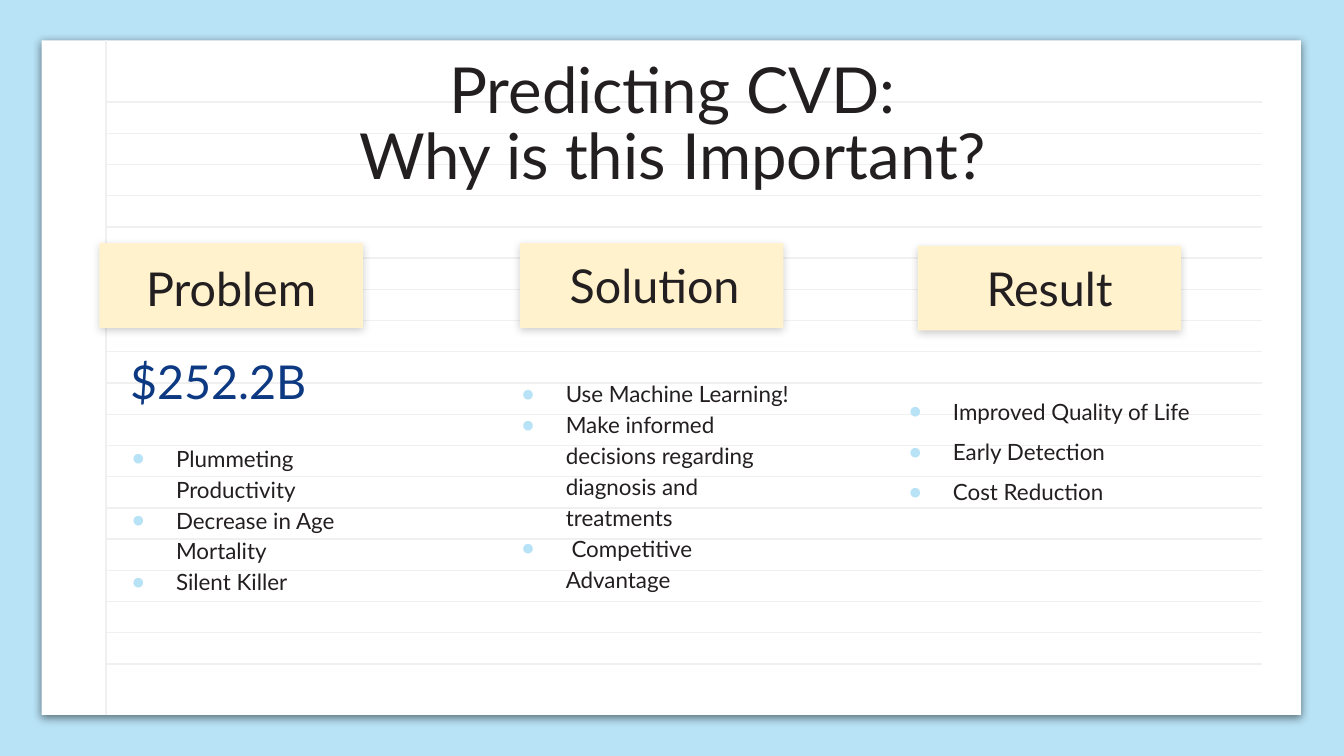
from dataclasses import dataclass

from lxml import etree
from pptx import Presentation
from pptx.dml.color import RGBColor
from pptx.enum.shapes import MSO_CONNECTOR, MSO_SHAPE
from pptx.enum.text import MSO_ANCHOR, MSO_AUTO_SIZE, PP_ALIGN
from pptx.oxml.ns import qn
from pptx.util import Inches, Pt

LEFT, CENTER = PP_ALIGN.LEFT, PP_ALIGN.CENTER
TOP, MIDDLE, BOTTOM = MSO_ANCHOR.TOP, MSO_ANCHOR.MIDDLE, MSO_ANCHOR.BOTTOM
NO_AUTOFIT = MSO_AUTO_SIZE.NONE
RECTANGLE = MSO_SHAPE.RECTANGLE
STRAIGHT = MSO_CONNECTOR.STRAIGHT


@dataclass(frozen=True)
class Theme:
    font: str = "Lato"
    sky: str = "B8E2F5"
    paper: str = "FFFFFF"
    rule: str = "F0F0F0"
    card: str = "FFF2CC"
    ink: str = "231F20"
    navy: str = "0C3982"
    black: str = "000000"
    title_size: int = 34
    heading_size: int = 25
    list_size: int = 12


theme = Theme()


def write_text(shape, lines, size, color=theme.ink, align=CENTER, anchor=MIDDLE,
               spacing=1.0, bullet=None):
    frame = shape.text_frame
    frame.word_wrap = True
    frame.auto_size = NO_AUTOFIT
    frame.vertical_anchor = anchor
    frame.margin_left = frame.margin_right = Inches(0.1)
    frame.margin_top = frame.margin_bottom = Inches(0.1)
    for index, line in enumerate(lines):
        paragraph = frame.add_paragraph() if index else frame.paragraphs[0]
        paragraph.alignment = align
        paragraph.line_spacing = spacing
        paragraph.space_before = paragraph.space_after = Pt(0)
        run = paragraph.add_run()
        run.text = line
        run.font.name = theme.font
        run.font.size = Pt(size)
        run.font.bold = False
        run.font.color.rgb = RGBColor.from_string(color)
        if bullet:
            properties = paragraph._p.get_or_add_pPr()
            properties.set("marL", str(Inches(0.5)))
            properties.set("indent", str(Inches(-0.33)))
            bullet_color = etree.SubElement(properties, qn("a:buClr"))
            etree.SubElement(bullet_color, qn("a:srgbClr"), val=theme.sky)
            etree.SubElement(properties, qn("a:buChar"), char=bullet)


def set_shadow(shape, color=None, opacity=0):
    effects = etree.SubElement(shape._element.spPr, qn("a:effectLst"))
    if color:
        shadow = etree.SubElement(effects, qn("a:outerShdw"), blurRad=str(Pt(4.5)),
                                  dist=str(Pt(1.5)), dir="5400000", algn="bl",
                                  rotWithShape="0")
        shade = etree.SubElement(shadow, qn("a:srgbClr"), val=color)
        etree.SubElement(shade, qn("a:alpha"), val=str(opacity * 1000))


presentation = Presentation()
presentation.slide_width = Inches(10)
presentation.slide_height = Inches(10 * 9 / 16)
slide = presentation.slides.add_slide(presentation.slide_layouts[4])
shapes = slide.shapes
slide.background.fill.solid()
slide.background.fill.fore_color.rgb = RGBColor.from_string(theme.sky)

panels = [(0.31, 0.3, 9.37, 5.02, theme.paper, theme.black, 50)]
panels += [(left, top, 1.96, 0.63, theme.card, theme.ink, 22)
           for left, top in ((0.74, 1.81), (3.87, 1.81), (6.83, 1.83))]
rectangles = []
for left, top, width, height, fill, shadow_color, opacity in panels:
    rectangle = shapes.add_shape(RECTANGLE, Inches(left), Inches(top),
                                 Inches(width), Inches(height))
    rectangle.fill.solid()
    rectangle.fill.fore_color.rgb = RGBColor.from_string(fill)
    rectangle.line.fill.background()
    set_shadow(rectangle, shadow_color, opacity)
    rectangles.append(rectangle)
paper, problem_card, solution_card, result_card = rectangles

rule_gap = (4.94 - 0.76) / 18
rules = [(0.79, 0.76 + row * rule_gap, 9.39, 0.76 + row * rule_gap) for row in range(19)]
rules.append((0.79, 0.3, 0.79, 5.32))
for start_x, start_y, end_x, end_y in rules:
    rule = shapes.add_connector(STRAIGHT, Inches(start_x), Inches(start_y),
                                Inches(end_x), Inches(end_y))
    rule.line.color.rgb = RGBColor.from_string(theme.rule)
    rule.line.width = Pt(0.75)
    set_shadow(rule)
    problem_card._element.addprevious(rule._element)

title = shapes.title
title.left, title.top, title.width, title.height = map(Inches, (0.79, 0.83, 8.43, 0.63))
write_text(title, ["Why is this Important?"], theme.title_size)
shapes._spTree.append(title._element)

write_text(result_card, ["Result"], theme.heading_size)
labels = [
    ("Problem", (0.6, 1.86, 2.24, 0.56), {"size": theme.heading_size}),
    ("Solution", (3.28, 1.84, 3.18, 0.56), {"size": theme.heading_size}),
    ("$252.2B", (0.87, 2.56, 1.72, 0.58),
     {"size": theme.heading_size, "color": theme.navy, "align": LEFT, "anchor": BOTTOM}),
    ("Predicting CVD:", (0.79, 0.34, 8.43, 0.63), {"size": theme.title_size}),
]
for text, box, text_format in labels:
    label = shapes.add_textbox(*map(Inches, box))
    write_text(label, [text], **text_format)

lists = [
    ((0.71, 3.18, 2.37, 2.02), 1.15,
     ["Plummeting Productivity", "Decrease in Age Mortality", "Silent Killer"]),
    ((3.61, 2.7, 2.37, 2.02), 1.15,
     ["Use Machine Learning!", "Make informed decisions regarding diagnosis and treatments",
      " Competitive Advantage"]),
    ((6.49, 2.76, 2.65, 1.5), 1.5,
     ["Improved Quality of Life", "Early Detection", "Cost Reduction"]),
]
*bodies, spare = [body for body in slide.placeholders if body.placeholder_format.idx > 0]
for body, (box, spacing, items) in zip(bodies, lists):
    body.left, body.top, body.width, body.height = map(Inches, box)
    write_text(body, items, theme.list_size, align=LEFT, anchor=TOP,
               spacing=spacing, bullet="●")
    shapes._spTree.append(body._element)
shapes._spTree.remove(spare._element)

presentation.save("out.pptx")
